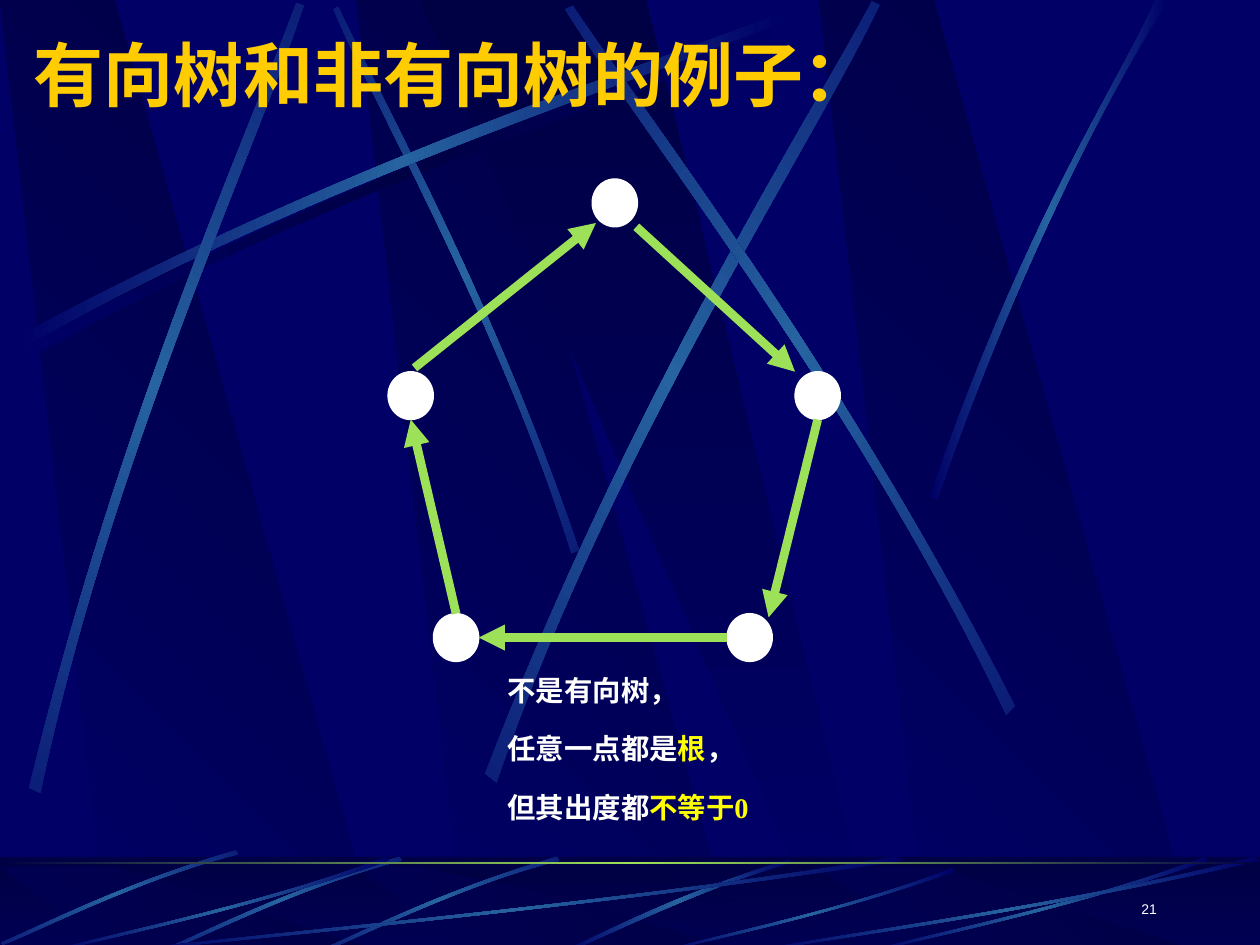
import math

from lxml import etree
from pptx import Presentation
from pptx.dml.color import RGBColor
from pptx.enum import shapes, text
from pptx.oxml import parse_xml
from pptx.oxml.ns import nsdecls, qn
from pptx.util import Inches, Pt

NAVY = RGBColor(0x00, 0x00, 0x66)
DARK = RGBColor(0x00, 0x00, 0x44)
STEEL = RGBColor(0x26, 0x63, 0xA0)
GREEN = RGBColor(0x9C, 0xE1, 0x57)
GOLD = RGBColor(0xFF, 0xCC, 0x00)
YELLOW = RGBColor(0xFF, 0xFF, 0x00)
WHITE = RGBColor(0xFF, 0xFF, 0xFF)

BAND_LEFTS = (2.83, 0, 6.5)
NODE_W, NODE_H = 0.36, 0.38
NODES = [(4.7, 1.42), (3.08, 2.95), (6.31, 2.95), (3.44, 4.87), (5.77, 4.87)]
EDGES = [
    ((3.62, 4.87), (3.26, 3.33)),
    ((3.29, 2.92), (4.73, 1.77)),
    ((5.05, 1.8), (6.31, 2.95)),
    ((6.49, 3.33), (6.1, 4.9)),
    ((5.77, 5.06), (3.8, 5.06)),
]
LONG_SWEEP = [(0.14, 2.67), (2.78, 1.25), (5.18, 0.51), (6.2, 0.1),
              (6.23, 0.16), (5.22, 0.61), (2.48, 1.43), (0.17, 2.77)]
STREAKS = [
    ([(4.6, 4.36), (3.91, 2.34), (3.02, 0.77), (2.69, 0.05),
      (2.65, 0.07), (2.95, 0.79), (3.98, 2.58), (4.54, 4.39)], 45, (3.62, 2.23)),
    (LONG_SWEEP, 0, (0, 0)),
    ([(0.23, 6.25), (0.93, 3.34), (1.97, 1.05), (2.35, 0.02),
      (2.41, 0.04), (2.07, 1.09), (0.86, 3.68), (0.32, 6.29)], 311.7, (1.33, 3.16)),
    ([(3.85, 6.14), (4.98, 3.2), (6.38, 1.02), (6.92, 0.01),
      (6.98, 0.04), (6.49, 1.08), (4.86, 3.55), (3.94, 6.21)], 321.6, (5.43, 3.11)),
    ([(8.06, 5.6), (6.7, 2.93), (5.16, 0.95), (4.55, 0.04),
      (4.49, 0.07), (5.07, 1.01), (6.85, 3.25), (7.99, 5.67)], 34.7, (6.27, 2.86)),
    ([(7.38, 3.94), (8.14, 1.73), (8.88, 0.66), (9.17, 0),
      (9.27, 0), (8.36, 1.45), (7.69, 3.22), (7.44, 3.97)], 0, (0, 0)),
]
FOOT_STREAK = [(6.27, 6.82), (5.37, 7.09), (4.77, 7.42), (4.48, 7.54),
               (4.53, 7.55), (4.9, 7.38), (5.71, 7), (6.28, 6.85)]
SHORT_STREAK = [(1.92, 6.8), (1.05, 7.05), (0.37, 7.4), (0.06, 7.53),
                (0.07, 7.55), (0.38, 7.43), (1.15, 7.03), (1.94, 6.83)]
SHORT_CENTER = (1, 7.18)
UNIT_SWEEP = [(1, 0.04), (0.57, 0.57), (0.17, 0.85), (0.01, 1),
              (0, 0.99), (0.17, 0.81), (0.62, 0.51), (0.99, 0)]
FOOT_SWEEPS = [(1, 6.8, 6.17, 0.75), (0.42, 6.8, 2.67, 0.75),
               (5.27, 6.89, 2.31, 0.66), (6.92, 6.8, 2.67, 0.75),
               (6, 6.8, 4, 0.75)]


def moved(points, dx, dy):
    return [(x + dx, y + dy) for x, y in points]


def turned(points, angle, center):
    a = math.radians(angle)
    cx, cy = center
    return [(cx + (x - cx) * math.cos(a) - (y - cy) * math.sin(a),
             cy + (x - cx) * math.sin(a) + (y - cy) * math.cos(a))
            for x, y in points]


def fill_gradient(sp, colors, angle):
    last = len(colors) - 1
    stops = "".join(
        f'<a:gs pos="{100000 * i // last}"><a:srgbClr val="{c}"/></a:gs>'
        for i, c in enumerate(colors))
    grad = parse_xml(
        f'<a:gradFill {nsdecls("a")} rotWithShape="1"><a:gsLst>{stops}</a:gsLst>'
        f'<a:lin ang="{angle * 60000}" scaled="1"/></a:gradFill>')
    sp.fill.background()
    old = sp._element.spPr.find(qn("a:noFill"))
    old.getparent().replace(old, grad)
    sp.line.fill.background()
    sp.shadow.inherit = False


def add_polygon(s, points, colors, angle):
    pts = [(Inches(x), Inches(y)) for x, y in points]
    builder = s.shapes.build_freeform(*pts[0])
    builder.add_line_segments(pts[1:], close=True)
    sp = builder.convert_to_shape()
    fill_gradient(sp, colors, angle)
    return sp


def bend(sp):
    lines = list(sp._element.iter(qn("a:lnTo")))
    for trio in (lines[:3], lines[4:7]):
        curve = etree.Element(qn("a:cubicBezTo"))
        trio[0].addprevious(curve)
        for line in trio:
            curve.append(line[0])
            line.getparent().remove(line)


def add_streak(s, points, angle=0, center=(0, 0), glow=STEEL):
    sp = add_polygon(s, turned(points, -angle, center), (NAVY, glow, NAVY), 0)
    bend(sp)
    sp.rotation = angle


def add_bands(s, top, bottom):
    for x in BAND_LEFTS:
        add_polygon(s, [(x + 0.86, bottom), (x + 3.02, bottom),
                        (x + 0.91, top), (x, top)], (NAVY, DARK), 315)
    add_polygon(s, [(3.33, top), (6.58, bottom), (6.94, bottom), (5.13, top)],
                (DARK, NAVY), 90)


def add_box(s, kind, x, y, w, h):
    sp = s.shapes.add_shape(kind, Inches(x), Inches(y), Inches(w), Inches(h))
    sp.shadow.inherit = False
    return sp


def add_rect(s, x, y, w, h):
    return add_box(s, shapes.MSO_SHAPE.RECTANGLE, x, y, w, h)


def add_veil(s):
    sp = add_rect(s, 0, 6.8, 10, 0.75)
    sp.fill.solid()
    sp.fill.fore_color.rgb = DARK
    sp.line.fill.background()
    color = sp._element.spPr.find(".//" + qn("a:srgbClr"))
    etree.SubElement(color, qn("a:alpha"), val="50000")


def add_backdrop(s):
    add_bands(s, 0, 7.52)
    add_streak(s, moved(LONG_SWEEP, 0.06, 0.08), glow=DARK)
    for points, angle, center in STREAKS:
        add_streak(s, points, angle, center)


def add_footer(s):
    fill_gradient(add_rect(s, 0, 6.8, 10, 0.75), (DARK, NAVY), 90)
    add_bands(s, 6.88, 7.55)
    add_veil(s)
    add_streak(s, FOOT_STREAK)
    for dx, dy in ((2.5, 0), (1.25, 0), (-0.05, -0.05)):
        add_streak(s, moved(SHORT_STREAK, dx, dy), 315,
                   moved([SHORT_CENTER], dx, dy)[0])
    for x, y, w, h in FOOT_SWEEPS:
        add_streak(s, [(x + w * u, y + h * v) for u, v in UNIT_SWEEP])
    fill_gradient(add_rect(s, 0, 6.84, 10, 0.02), (DARK, GREEN, DARK), 0)


def add_node(s, x, y):
    sp = add_box(s, shapes.MSO_SHAPE.OVAL, x, y, NODE_W, NODE_H)
    sp.fill.solid()
    sp.fill.fore_color.rgb = WHITE
    sp.line.color.rgb = WHITE
    sp.line.width = Pt(0.75)


def add_arrow(s, start, end):
    cx = s.shapes.add_connector(shapes.MSO_CONNECTOR.STRAIGHT,
                                *map(Inches, start + end))
    cx.line.color.rgb = GREEN
    cx.line.width = Pt(5)
    etree.SubElement(cx.line._get_or_add_ln(), qn("a:tailEnd"), type="triangle")
    etree.SubElement(cx._element.spPr, qn("a:effectLst"))


def add_text(s, box, lines, font, size, bold=False, gap=0,
             anchor=text.MSO_ANCHOR.TOP, align=text.PP_ALIGN.LEFT):
    sp = s.shapes.add_textbox(*map(Inches, box))
    tf = sp.text_frame
    tf.word_wrap = True
    tf.vertical_anchor = anchor
    for i, runs in enumerate(lines):
        p = tf.add_paragraph() if i else tf.paragraphs[0]
        p.alignment = align
        if i:
            p.space_before = Pt(gap)
        for words, color in runs:
            r = p.add_run()
            r.text = words
            r.font.name = font
            r.font.size = Pt(size)
            r.font.bold = bold
            r.font.color.rgb = color
    return tf


def main():
    prs = Presentation()
    prs.slide_width, prs.slide_height = Inches(10), Inches(7.5)
    s = prs.slides.add_slide(prs.slide_layouts[6])
    s.background.fill.solid()
    s.background.fill.fore_color.rgb = NAVY
    add_backdrop(s)
    add_footer(s)
    add_text(s, (0.17, 0.2, 8.5, 0.77), [[("有向树和非有向树的例子：", GOLD)]],
             "Montserrat", 40, bold=True, anchor=text.MSO_ANCHOR.MIDDLE)
    for x, y in NODES:
        add_node(s, x, y)
    for start, end in EDGES:
        add_arrow(s, start, end)
    caption = add_text(s, (3.93, 5.25, 3.52, 1.5), [
        [("不是有向树，", WHITE)],
        [("任意一点都是", WHITE), ("根", YELLOW), ("，", WHITE)],
        [("但其出度都", WHITE), ("不等于0", YELLOW)],
    ], "Times New Roman", 16.2, bold=True, gap=14)
    caption.margin_top = Inches(0.09)
    number = add_text(s, (7.2, 6.9, 2.08, 0.5), [[("21", WHITE)]], "Arial", 8,
                      anchor=text.MSO_ANCHOR.BOTTOM, align=text.PP_ALIGN.RIGHT)
    number.margin_bottom = Inches(0.12)
    prs.save("out.pptx")


if __name__ == "__main__":
    main()
